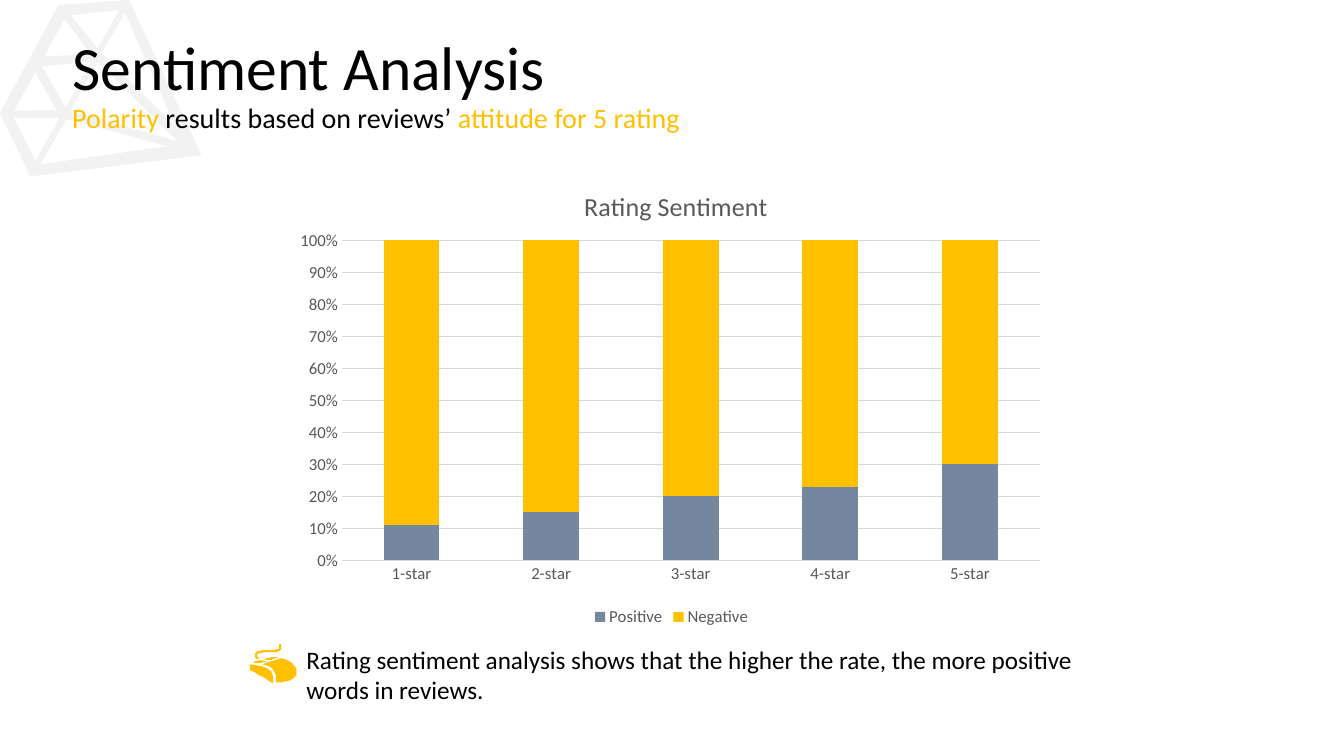
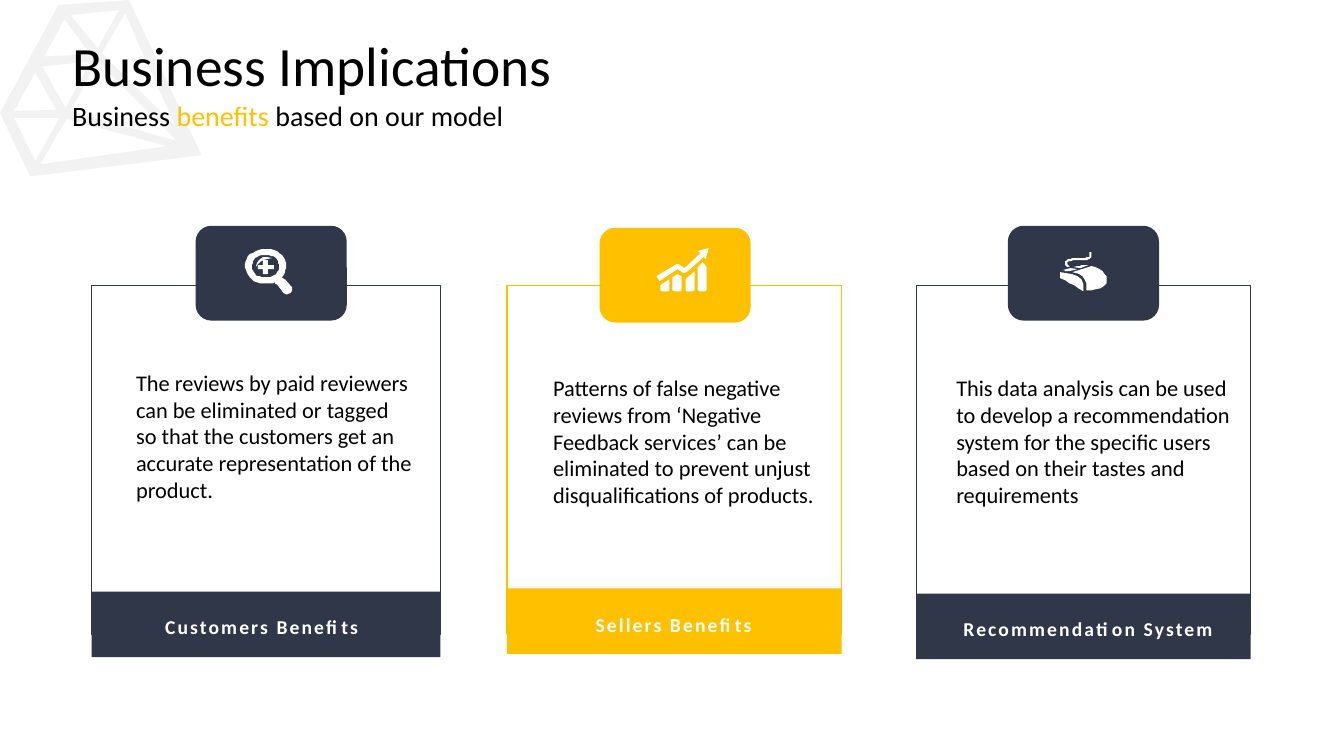
from dataclasses import dataclass

from lxml import etree
from pptx import Presentation
from pptx.chart.data import CategoryChartData
from pptx.dml.color import RGBColor
from pptx.enum.chart import XL_CHART_TYPE as CHART, XL_LEGEND_POSITION as LEGEND
from pptx.enum.chart import XL_TICK_MARK as TICK
from pptx.enum.shapes import MSO_SHAPE as SHAPE
from pptx.enum.text import MSO_ANCHOR as ANCHOR, MSO_AUTO_SIZE as AUTO, PP_ALIGN as ALIGN
from pptx.oxml.ns import qn
from pptx.util import Cm, Pt

FONT = "Calibri"
COLORS = {"text": "000000", "accent": "FFC000", "navy": "303749", "steel": "75879F",
          "gem": "F2F2F2", "white": "FFFFFF", "label": "595959", "grid": "D9D9D9"}
OUTLINE_UNIT = Cm(2.54) / 100
CURVE_STEPS = 5

# Each contour lists points (x, y) and cubic curves (x1, y1, x2, y2, x, y).
GEM = [
    [(58, 5), (0, 112), (30, 175), (200, 154), (128, 0)],
    [(118, 10), (97, 48), (70, 15)],
    [(64, 19), (90, 54), (44, 56)],
    [(90, 61), (65, 107), (42, 66)],
    [(35, 72), (56, 109), (14, 110)],
    [(14, 117), (59, 117), (35, 160)],
    [(40, 163), (66, 118), (166, 145)],
    [(70, 110), (97, 61), (176, 140)],
    [(174, 125), (101, 53), (124, 13)],
]
MOUSE = [
    [(26, 31), (24, 24, 19, 21, 12, 20), (31, 14), (38, 16, 44, 20, 46, 24),
     (46, 31), (42, 36, 34, 38, 26, 38)],
    [(7, 15), (10, 14), (9, 14, 6, 12, 7, 11), (7, 10), (9, 9),
     (11, 8, 16, 8, 20, 8), (24, 8), (26, 8, 29, 7, 30, 6), (31, 5, 32, 3, 31, 0),
     (29, 0), (30, 3, 29, 4, 29, 5), (28, 5, 26, 5, 24, 6), (20, 6),
     (15, 6, 11, 6, 8, 7), (7, 8, 6, 8, 5, 9), (5, 12), (5, 13, 6, 14, 7, 15)],
    [(9, 19), (17, 17), (10, 16), (2, 18), (5, 19, 7, 19, 9, 19)],
    [(13, 15), (20, 16), (28, 13), (24, 13, 21, 13, 17, 14)],
    [(0, 20), (0, 26), (8, 30, 15, 34, 23, 39), (23, 32), (20, 23, 11, 21, 0, 20)],
]
MAGNIFIER = [
    [(8, 5), (12, 1, 18, 0, 23, 1), (28, 1, 33, 3, 37, 7), (40, 11, 42, 16, 41, 20),
     (40, 24, 39, 27, 36, 29), (37, 30, 38, 30, 40, 31), (46, 38),
     (48, 40, 47, 43, 45, 45), (43, 46, 40, 46, 38, 44), (32, 36),
     (31, 36, 30, 35, 30, 34), (27, 35, 22, 36, 18, 35), (13, 35, 8, 33, 5, 29),
     (1, 25, 0, 20, 0, 16), (1, 11, 3, 7, 8, 5)],
    [(18, 26), (23, 26), (23, 21), (29, 21), (29, 17), (23, 17),
     (23, 12), (18, 12), (18, 17), (13, 17), (13, 21), (18, 21)],
    [(11, 19), (13, 14, 19, 11, 27, 10), (19, 6, 10, 12, 11, 19)],
    [(22, 7), (19, 6, 15, 7, 12, 9), (9, 11, 8, 14, 7, 17), (7, 20, 8, 23, 10, 25),
     (12, 28, 15, 29, 19, 29), (22, 30, 26, 29, 29, 27), (32, 25, 34, 23, 34, 19),
     (35, 17, 33, 14, 32, 11), (29, 8, 26, 7, 22, 7)],
]
GROWTH = [
    [(0, 28), (20, 16), (22, 16), (28, 20), (44, 5), (41, 3), (52, 0),
     (49, 11), (47, 9), (30, 24), (27, 25), (21, 21), (3, 33)],
    [(4, 37), (13, 31), (13, 42), (12, 43), (6, 43), (4, 42)],
    [(16, 29), (21, 26), (25, 28), (25, 42), (24, 43), (18, 43), (16, 42)],
    [(29, 31), (38, 23), (38, 42), (36, 43), (30, 43), (29, 42)],
    [(41, 19), (46, 14), (50, 19), (50, 42), (48, 43), (43, 43), (41, 42)],
]


@dataclass
class Card:
    """A benefit card; positions are (x, y) in cm."""
    color: str
    left: float
    width: float
    tab: tuple
    band_top: float
    icon: list
    icon_at: tuple
    body_at: tuple
    body: str
    label_at: tuple
    label_width: float
    label: str


CARDS = [
    Card("navy", 2.31, 8.79, (4.93, 5.69), 14.91, MAGNIFIER, (6.17, 6.25), (3.18, 9.17),
         "The reviews by paid reviewers can be eliminated or tagged so that the "
         "customers get an accurate representation of the product.",
         (3.91, 15.37), 5.92, "Customers Benefits"),
    Card("accent", 12.78, 8.43, (15.11, 5.74), 14.83, GROWTH, (16.54, 6.25), (13.69, 9.3),
         "Patterns of false negative reviews from ‘Negative Feedback services’ can be "
         "eliminated to prevent unjust disqualifications of products.",
         (14.76, 15.32), 4.8, "Sellers Benefits"),
    Card("navy", 23.09, 8.43, (25.4, 5.69), 14.96, MOUSE, (26.72, 6.35), (23.85, 9.3),
         "This data analysis can be used to develop a recommendation system for the "
         "specific users based on their tastes and requirements",
         (24.03, 15.42), 7.32, "Recommendation System"),
]


def rgb(name):
    return RGBColor.from_string(COLORS[name])


def style_font(font, size, color="text", bold=False):
    font.name, font.size, font.bold = FONT, Pt(size), bold
    font.color.rgb = rgb(color)


def flatten(contour):
    """Turn a contour's cubic curves into short straight steps."""
    points = []
    for seg in contour:
        if len(seg) == 2:
            points.append(seg)
            continue
        ctrl = [points[-1], seg[:2], seg[2:4], seg[4:]]
        for step in range(1, CURVE_STEPS + 1):
            t = step / CURVE_STEPS
            weights = ((1 - t) ** 3, 3 * t * (1 - t) ** 2, 3 * t * t * (1 - t), t ** 3)
            points.append(tuple(sum(w * c[axis] for w, c in zip(weights, ctrl))
                                for axis in (0, 1)))
    return points


def add_outline(slide, contours, x, y, color):
    paths = [flatten(contour) for contour in contours]
    builder = slide.shapes.build_freeform(*paths[0][0], scale=OUTLINE_UNIT)
    for i, path in enumerate(paths):
        if i:
            builder.move_to(*path[0])
        builder.add_line_segments(path[1:], close=True)
    sp = builder.convert_to_shape(Cm(x), Cm(y))
    sp.shadow.inherit = False
    sp.fill.solid()
    sp.fill.fore_color.rgb = rgb(color)
    sp.line.fill.background()
    return sp


def add_box(slide, kind, x, y, w, h, fill=None, line=None):
    sp = slide.shapes.add_shape(kind, Cm(x), Cm(y), Cm(w), Cm(h))
    sp.shadow.inherit = False
    if fill:
        sp.fill.solid()
        sp.fill.fore_color.rgb = rgb(fill)
    else:
        sp.fill.background()
    if line:
        sp.line.color.rgb = rgb(line)
        sp.line.width = Pt(1)
    else:
        sp.line.fill.background()


def add_text(slide, x, y, w, h, parts, size, bold=False, spacing=None):
    """Write (text, colour) parts as the runs of one paragraph."""
    tf = slide.shapes.add_textbox(Cm(x), Cm(y), Cm(w), Cm(h)).text_frame
    tf.word_wrap = True
    tf.auto_size = AUTO.SHAPE_TO_FIT_TEXT
    for text, color in parts:
        r = tf.paragraphs[0].add_run()
        r.text = text
        style_font(r.font, size, color, bold)
        if spacing:
            r._r.get_or_add_rPr().set("spc", str(int(spacing * 100)))


def add_header(slide, title, size, top, height, subtitle, subtitle_top):
    sp = slide.shapes.title
    sp.left, sp.top, sp.width, sp.height = Cm(1.57), Cm(top), Cm(29.21), Cm(height)
    tf = sp.text_frame
    tf.text = title
    tf.auto_size = AUTO.NONE
    tf.vertical_anchor = ANCHOR.BOTTOM
    p = tf.paragraphs[0]
    p.alignment, p.line_spacing = ALIGN.LEFT, 0.9
    style_font(p.runs[0].font, size)
    add_text(slide, 1.57, subtitle_top, 16.94, 1.12, subtitle, 20)


def set_layout(parent, inner=False, **fractions):
    """Place a chart part by fractions of the chart area."""
    layout = parent.find(qn("c:layout"))
    if layout is None:
        layout = etree.Element(qn("c:layout"))
        parent.insert(0, layout)
    manual = etree.SubElement(layout, qn("c:manualLayout"))
    settings = {"layoutTarget": "inner"} if inner else {}
    settings.update(xMode="edge", yMode="edge", **fractions)
    for tag, value in settings.items():
        etree.SubElement(manual, qn("c:" + tag)).set("val", str(value))


def add_rating_chart(slide):
    data = CategoryChartData()
    data.categories = [f"{n}-star" for n in range(1, 6)]
    data.add_series("Positive", (11, 15, 20, 23, 30))
    data.add_series("Negative", (89, 85, 80, 77, 70))
    chart = slide.shapes.add_chart(CHART.COLUMN_STACKED_100, Cm(7.26), Cm(4.04),
                                   Cm(19.33), Cm(11.86), data).chart
    style_font(chart.font, 10)
    chart.has_title = True
    p = chart.chart_title.text_frame.paragraphs[0]
    p.text = "Rating Sentiment"
    style_font(p.runs[0].font, 18.6, "label")
    chart.has_legend = True
    chart.legend.position = LEGEND.BOTTOM
    chart.legend.include_in_layout = False
    style_font(chart.legend.font, 12, "label")

    plot = chart.plots[0]
    plot.gap_width, plot.overlap, plot.vary_by_categories = 150, 100, False
    for series, color in zip(plot.series, ("steel", "accent")):
        series.format.fill.solid()
        series.format.fill.fore_color.rgb = rgb(color)

    cat_axis, val_axis = chart.category_axis, chart.value_axis
    for axis in (cat_axis, val_axis):
        axis.major_tick_mark = axis.minor_tick_mark = TICK.NONE
        style_font(axis.tick_labels.font, 12, "label")
    val_axis.tick_labels.number_format = "0%"
    val_axis.tick_labels.number_format_is_linked = False
    val_axis.format.line.fill.background()
    val_axis.has_major_gridlines = True
    for line in (cat_axis.format.line, val_axis.major_gridlines.format.line):
        line.color.rgb = rgb("grid")
        line.width = Pt(0.75)

    set_layout(chart.element.xpath(".//c:chart/c:title")[0], x=0.38, y=0.05)
    set_layout(chart.element.xpath(".//c:plotArea")[0], inner=True,
               x=0.07, y=0.17, w=0.91, h=0.68)


def add_card(slide, card):
    add_box(slide, SHAPE.RECTANGLE, card.left, 7.19, card.width, 8.79, line=card.color)
    add_box(slide, SHAPE.ROUNDED_RECTANGLE, *card.tab, 3.81, 2.39, fill=card.color)
    add_box(slide, SHAPE.RECTANGLE, card.left, card.band_top, card.width, 1.65,
            fill=card.color)
    add_outline(slide, card.icon, *card.icon_at, "white")
    add_text(slide, *card.body_at, 7.49, 3.68, [(card.body, "text")], 16)
    add_text(slide, *card.label_at, card.label_width, 0.86, [(card.label, "white")],
             14, bold=True, spacing=1.5)


def main():
    prs = Presentation()
    prs.slide_width, prs.slide_height = Cm(33.87), Cm(19.05)
    layout = prs.slide_layouts[5]

    slide = prs.slides.add_slide(layout)
    # The gem belongs to the layout, behind its placeholders.
    layout.shapes.element.insert(2, add_outline(slide, GEM, 0, 0, "gem").element)
    add_header(slide, "Sentiment Analysis", 44, 0.74, 2.01,
               [("Polarity ", "accent"), ("results based on reviews’ ", "text"),
                ("attitude for 5 rating", "accent")], 2.41)
    add_rating_chart(slide)
    add_text(slide, 7.47, 16.1, 20.55, 1.8,
             [("Rating sentiment analysis shows that the higher the rate, the more "
               "positive words in reviews.", "text")], 18)
    add_outline(slide, MOUSE, 6.3, 16.23, "accent")

    slide = prs.slides.add_slide(layout)
    add_header(slide, "Business Implications", 39.6, 0.76, 1.85,
               [("Business ", "text"), ("benefits ", "accent"),
                ("based on our model", "text")], 2.36)
    for card in CARDS:
        add_card(slide, card)

    prs.save("out.pptx")


if __name__ == "__main__":
    main()
